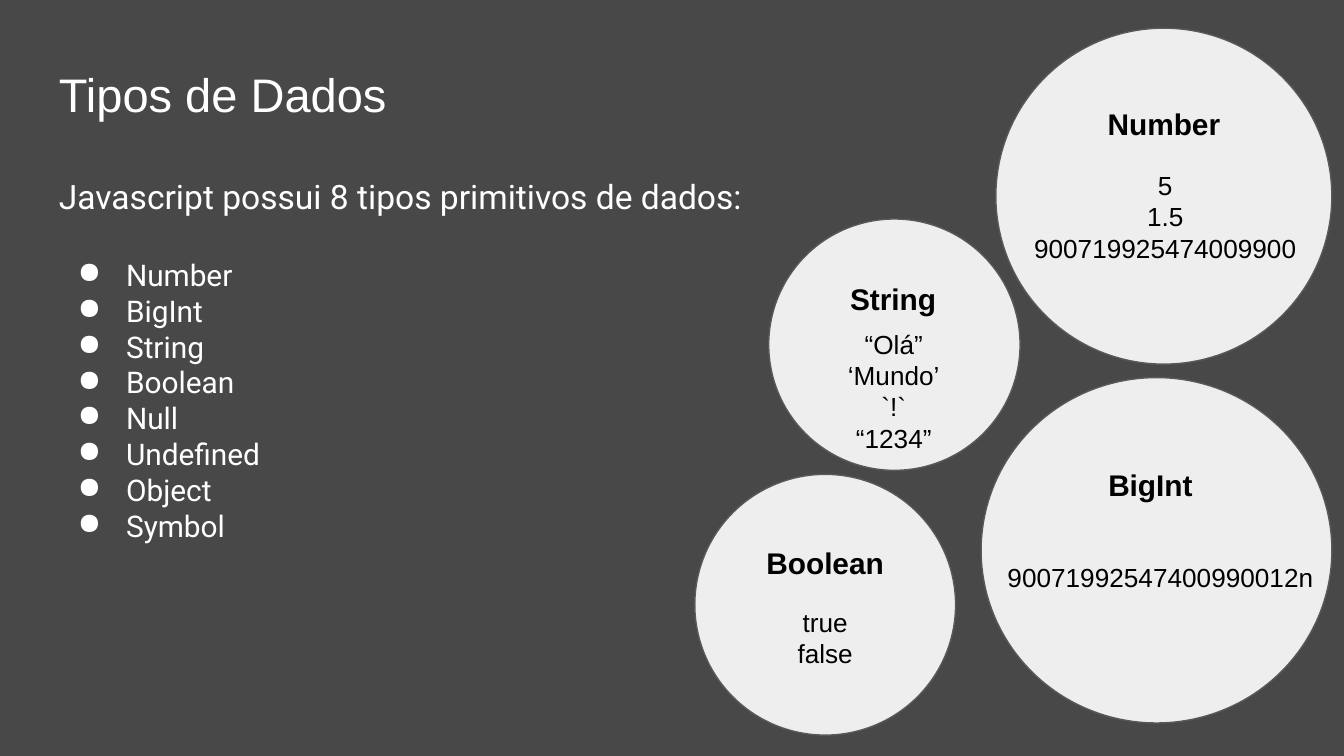
from dataclasses import dataclass
from typing import NamedTuple

from lxml import etree
from pptx import Presentation, util as u
from pptx.dml.color import RGBColor
from pptx.enum import shapes, text
from pptx.oxml import ns


@dataclass(frozen=True)
class Theme:
    background: str = "484848"
    light: str = "FFFFFF"
    dark: str = "000000"
    circle: str = "EEEEEE"
    outline: str = "595959"
    heading_font: str = "Arial"
    body_font: str = "Roboto"
    title: float = 25.2
    intro: float = 18
    item: float = 16
    value: float = 14
    leading: float = 1.2  # line pitch as a multiple of the type size


class Box(NamedTuple):
    """Left, top, width and height in grid columns and rows."""
    x: float
    y: float
    w: float
    h: float


@dataclass(frozen=True)
class TypeCircle:
    label: str
    values: list[str]
    circle: Box
    label_box: Box
    values_box: Box
    anchor: text.MSO_ANCHOR = text.MSO_ANCHOR.TOP


THEME = Theme()
CELL = u.Inches(0.1)  # 100 columns across the slide
COLUMNS, ROWS = 100, 56.25

PRIMITIVES = ["Number", "BigInt", "String", "Boolean",
              "Null", "Undefined", "Object", "Symbol"]

CIRCLES = [
    TypeCircle("Number", ["5", "1.5", "900719925474009900"],
               Box(74.1, 2.1, 25, 25), Box(80.9, 6.9, 11.4, 4.7),
               Box(75.8, 11.6, 21.8, 9.1)),
    TypeCircle("String", ["“Olá”", "‘Mundo’", "`!`", "“1234”"],
               Box(57.2, 16.3, 18.7, 18.7), Box(62.2, 19.9, 8.5, 4.7),
               Box(58.4, 23.4, 16.2, 11.4)),
    TypeCircle("BigInt", ["90071992547400990012n"],
               Box(73, 28.1, 26.1, 25.7), Box(79.9, 33.7, 11.4, 4.7),
               Box(73.6, 38.4, 25.5, 6.7), text.MSO_ANCHOR.BOTTOM),
    TypeCircle("Boolean", ["true", "false"],
               Box(51.7, 35.3, 19.4, 19.4), Box(55.9, 39.5, 11, 4.7),
               Box(50.9, 44.1, 21, 6.7)),
]


def place(box: Box) -> list[int]:
    return [round(n * CELL) for n in box]


def add_text(parent, box: Box, lines: list[str], *, size: float,
             font: str = THEME.heading_font, color: str = THEME.dark,
             bold: bool = False, align=text.PP_ALIGN.CENTER,
             anchor=text.MSO_ANCHOR.TOP):
    """Add a text box with one paragraph per line."""
    tf = parent.add_textbox(*place(box)).text_frame
    tf.word_wrap = True
    tf.vertical_anchor = anchor
    tf.margin_left = tf.margin_right = tf.margin_top = tf.margin_bottom = CELL
    for i, line in enumerate(lines):
        p = tf.paragraphs[0] if i == 0 else tf.add_paragraph()
        p.alignment = align
        p.line_spacing = u.Pt(size * THEME.leading)
        r = p.add_run()
        r.text = line
        r.font.size = u.Pt(size)
        r.font.name = font
        r.font.bold = bold
        r.font.color.rgb = RGBColor.from_string(color)
    return tf


def add_bullet(p) -> None:
    pPr = p._p.get_or_add_pPr()
    pPr.set("marL", str(u.Inches(0.5)))
    pPr.set("indent", str(u.Inches(-0.36)))
    color = etree.SubElement(pPr, ns.qn("a:buClr"))
    etree.SubElement(color, ns.qn("a:srgbClr"), val=THEME.light)
    etree.SubElement(pPr, ns.qn("a:buChar"), char="●")


def add_type_circle(s, item: TypeCircle) -> None:
    group = s.shapes.add_group_shape().shapes
    sp = group.add_shape(shapes.MSO_SHAPE.OVAL, *place(item.circle))
    sp.shadow.inherit = False
    sp.fill.solid()
    sp.fill.fore_color.rgb = RGBColor.from_string(THEME.circle)
    sp.line.color.rgb = RGBColor.from_string(THEME.outline)
    sp.line.width = u.Pt(0.75)
    add_text(group, item.label_box, [item.label], size=THEME.item, bold=True)
    add_text(group, item.values_box, item.values, size=THEME.value,
             anchor=item.anchor)


def main() -> None:
    prs = Presentation()
    prs.slide_width, prs.slide_height = round(COLUMNS * CELL), round(ROWS * CELL)
    s = prs.slides.add_slide(prs.slide_layouts[6])
    s.background.fill.solid()
    s.background.fill.fore_color.rgb = RGBColor.from_string(THEME.background)

    # Title
    left = text.PP_ALIGN.LEFT
    add_text(s.shapes, Box(3.4, 3.9, 93.2, 6.3), ["Tipos de Dados"],
             size=THEME.title, color=THEME.light, align=left)

    # Introduction and list of primitive types
    tf = add_text(s.shapes, Box(3.4, 12.1, 86.4, 32.3),
                  ["Javascript possui 8 tipos primitivos de dados:", *PRIMITIVES],
                  size=THEME.item, font=THEME.body_font, color=THEME.light,
                  align=left)
    intro, *items = tf.paragraphs
    intro.runs[0].font.size = u.Pt(THEME.intro)
    intro.line_spacing = intro.space_after = u.Pt(THEME.intro * THEME.leading)
    for p in items:
        add_bullet(p)

    # Example values of four types
    for item in CIRCLES:
        add_type_circle(s, item)

    prs.save("out.pptx")


if __name__ == "__main__":
    main()
